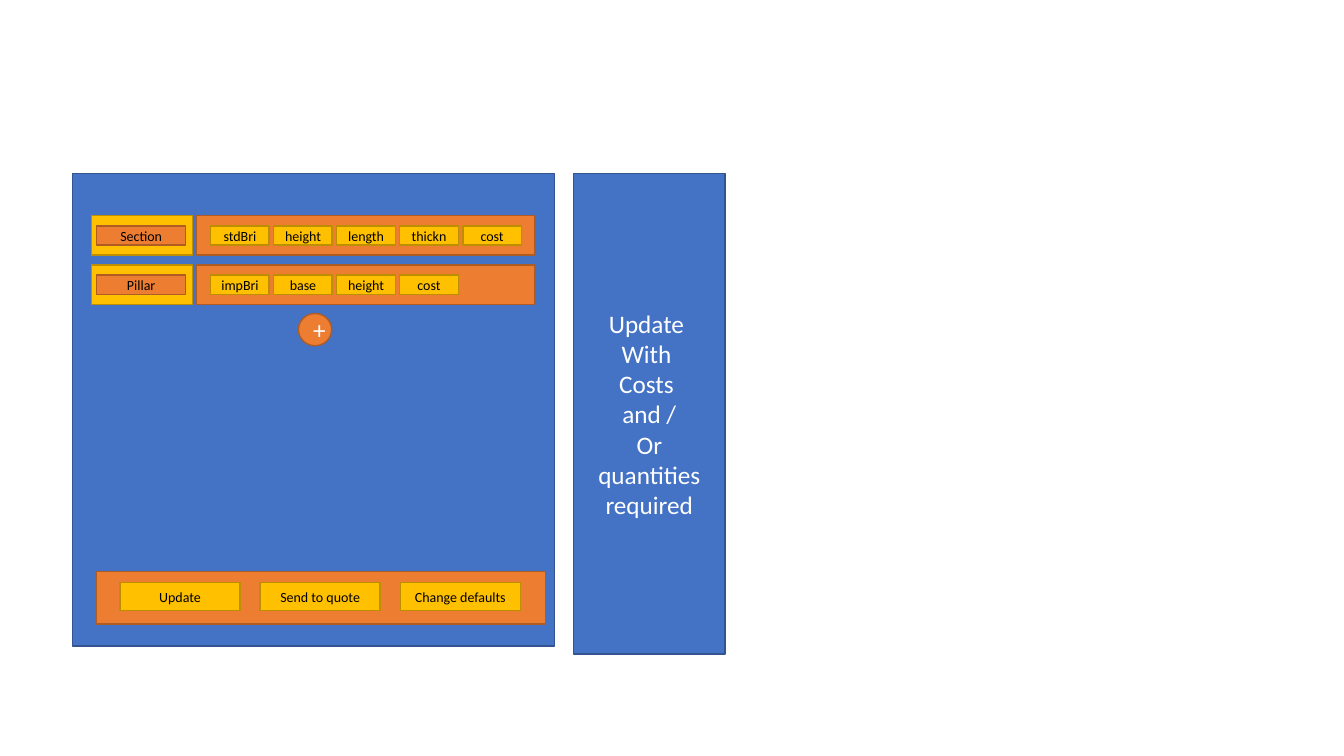
"""Build a slide with a wall cost calculator wireframe and its results panel."""
from dataclasses import dataclass

from pptx import Presentation
from pptx.dml.color import RGBColor
from pptx.enum.shapes import MSO_SHAPE
from pptx.enum.text import MSO_ANCHOR, PP_ALIGN
from pptx.util import Inches, Pt

RECT, OVAL = MSO_SHAPE.RECTANGLE, MSO_SHAPE.OVAL
MIDDLE, CENTER = MSO_ANCHOR.MIDDLE, PP_ALIGN.CENTER


@dataclass(frozen=True)
class Theme:
    blue: tuple = ("4472C4", "325491")
    orange: tuple = ("ED7D31", "AF5C24")
    gold: tuple = ("FFC000", "BD8E00")
    light: str = "FFFFFF"
    dark: str = "000000"
    font: str = "Calibri"
    large: int = 18
    small: int = 10


T = Theme()


def add_box(x, y, w, h, colors, text="", size=T.small, color=T.dark, kind=RECT):
    sp = s.shapes.add_shape(kind, Inches(x), Inches(y), Inches(w), Inches(h))
    sp.shadow.inherit = False
    fill, line = colors
    sp.fill.solid()
    sp.fill.fore_color.rgb = RGBColor.from_string(fill)
    sp.line.color.rgb = RGBColor.from_string(line)
    sp.line.width = Pt(1)
    tf = sp.text_frame
    tf.word_wrap = True
    tf.vertical_anchor = MIDDLE
    tf.text = text
    for p in tf.paragraphs:
        p.alignment = CENTER
        for r in p.runs:
            r.font.name = T.font
            r.font.size = Pt(size)
            r.font.color.rgb = RGBColor.from_string(color)


prs = Presentation()
prs.slide_width, prs.slide_height = Inches(13.33), Inches(7.5)
s = prs.slides.add_slide(prs.slide_layouts[6])

add_box(0.72, 1.72, 4.78, 4.69, T.blue)
add_box(5.69, 1.72, 1.5, 4.77, T.blue,
        "Update \nWith \nCosts \nand /\nOr quantities\nrequired", T.large, T.light)

rows = [
    ("Section", ["stdBri", "height", "length", "thickn", "cost"]),
    ("Pillar", ["impBri", "base", "height", "cost"]),
]
for i, (name, fields) in enumerate(rows):
    y = 2.14 + i * 0.49
    add_box(1.95, y, 3.35, 0.39, T.orange)
    for j, field in enumerate(fields):
        add_box(2.09 + j * 0.625, y + 0.1, 0.58, 0.19, T.gold, field)
    add_box(0.91, y, 1, 0.39, T.gold)
    add_box(0.96, y + 0.1, 0.88, 0.19, T.orange, name)

add_box(2.96, 3.11, 0.33, 0.32, T.orange, "+", T.large, T.light, OVAL)

add_box(0.96, 5.67, 4.45, 0.52, T.orange)
for i, action in enumerate(["Update", "Send to quote", "Change defaults"]):
    add_box(1.19 + i * 1.39, 5.78, 1.19, 0.28, T.gold, action)

prs.save("out.pptx")
